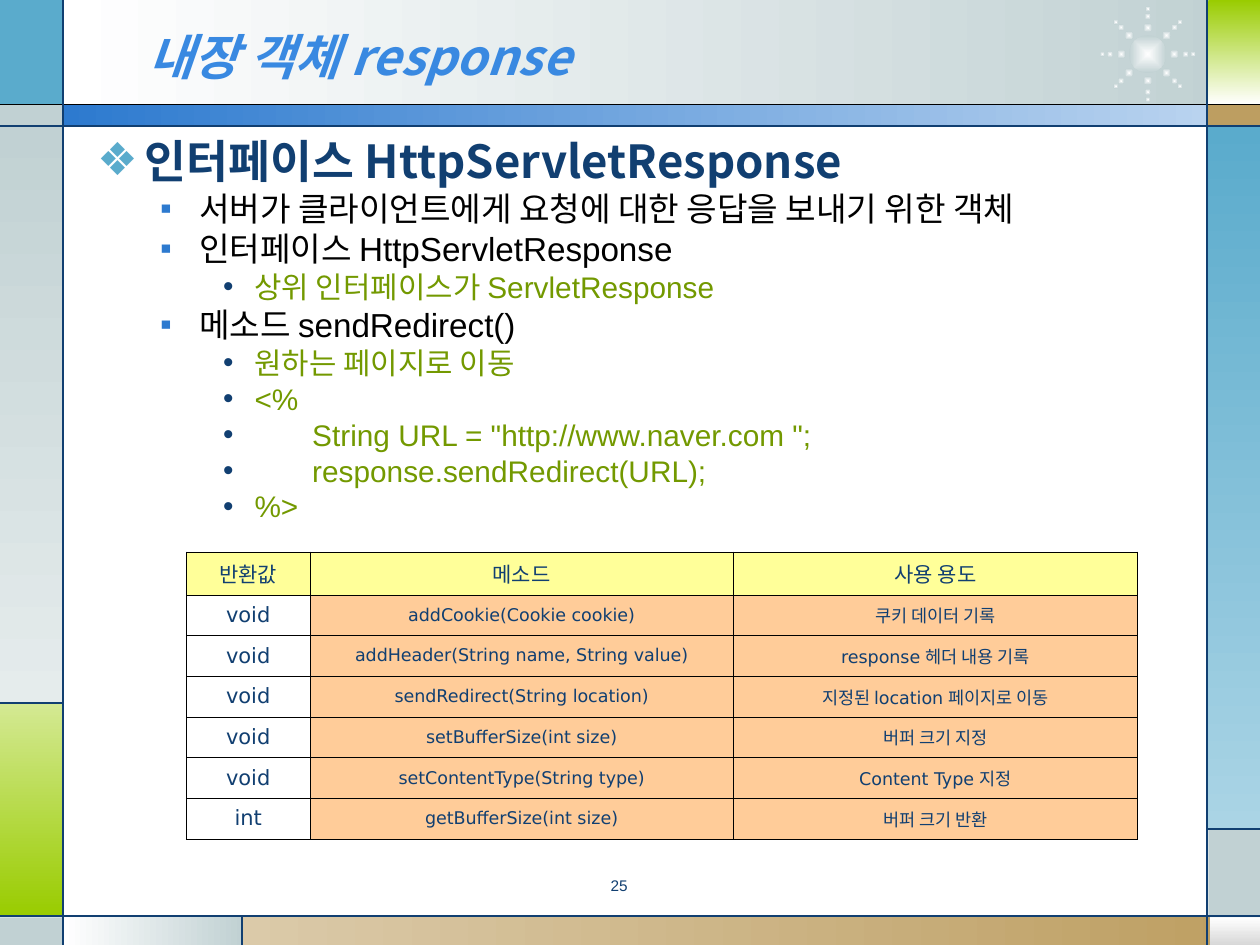
import math
import pptx
import pptx.util
import pptx.dml.color
import pptx.enum.shapes
import pptx.enum.text
import pptx.oxml
import pptx.oxml.ns
from pptx.util import Inches, Pt

TITLE = "내장 객체 response"
BODY = [  # level, text
    (0, "인터페이스 HttpServletResponse"),
    (1, "서버가 클라이언트에게 요청에 대한 응답을 보내기 위한 객체"),
    (1, "인터페이스 HttpServletResponse"),
    (2, "상위 인터페이스가 ServletResponse"),
    (1, "메소드 sendRedirect()"),
    (2, "원하는 페이지로 이동"),
    (2, "<%"),
    (2, '       String URL = "http://www.naver.com ";'),
    (2, "       response.sendRedirect(URL);"),
    (2, "%>"),
]
LEVELS = [  # bullet, its colour, left, hang, space before, size, font, colour
    ("❖", "5AABCC", 0.38, 0.38, 6.5, 26, "Noto Sans CJK KR", "113F71"),
    ("▪", "2D7ACF", 0.81, 0.31, 4.8, 19, "Arial", "000000"),
    ("•", "113F71", 1.25, 0.25, 4.2, 17, "Arial", "739900"),
]
ROWS = [
    ("반환값", "메소드", "사용 용도"),
    ("void", "addCookie(Cookie cookie)", "쿠키 데이터 기록"),
    ("void", "addHeader(String name, String value)", "response 헤더 내용 기록"),
    ("void", "sendRedirect(String location)", "지정된 location 페이지로 이동"),
    ("void", "setBufferSize(int size)", "버퍼 크기 지정"),
    ("void", "setContentType(String type)", "Content Type 지정"),
    ("int", "getBufferSize(int size)", "버퍼 크기 반환"),
]
COLS = (0.98, 3.36, 3.21)
RIGHT, DOWN = 0, 270
BANDS = [  # left, top, width, height, colours, direction
    (0.5, 0, 9.27, 0.84, ("FFFFFF", "C1D1D3"), RIGHT),
    (0, 0, 0.5, 0.84, ("5AABCC",), None),
    (0, 0.83, 0.5, 0.17, ("C1D1D3",), None),
    (0, 1, 0.5, 4.58, ("C1D1D3", "E5ECEC"), DOWN),
    (0, 5.58, 0.5, 1.69, ("D4E993", "99CC00"), DOWN),
    (0, 7.28, 0.5, 0.22, ("C1D1D3",), None),
    (0.5, 7.27, 1.43, 0.23, ("FFFFFF", "C1D1D3"), RIGHT),
    (1.92, 7.27, 8.08, 0.23, ("DBCAA9", "BD9E61"), RIGHT),
    (9.6, 7.28, 0.4, 0.22, ("FFFFFF", "D8D8D8"), DOWN),
    (9.59, 6.58, 0.41, 0.7, ("C1D1D3",), None),
    (9.58, 1, 0.42, 5.58, ("5AABCC", "AAD4E5"), DOWN),
    (9.58, 0.83, 0.42, 0.17, ("BD9E61",), None),
    (9.59, 0, 0.41, 0.83, ("99CC00", "FFFFFF"), DOWN),
    (0.5, 0.83, 9.09, 0.17, ("2D7ACF", "B9D3EF"), RIGHT),
]
LINES = [  # from, to, colour
    (0, 0.83, 10, 0.83, "000000"),
    (0, 1, 10, 1, "113F71"),
    (0, 7.27, 10, 7.27, "113F71"),
    (0.5, 0, 0.5, 7.5, "113F71"),
    (9.58, 0, 9.58, 7.5, "113F71"),
    (0, 5.58, 0.5, 5.58, "113F71"),
    (1.92, 7.27, 1.92, 7.5, "113F71"),
    (9.58, 6.58, 10, 6.58, "113F71"),
]
SUN = (9.11, 0.43)
DOTS = [(0.21, 0.07), (0.3, 0.05), (0.36, 0.04)]  # distance, size

KIND = pptx.enum.shapes.MSO_SHAPE
ALIGN = pptx.enum.text.PP_ALIGN
MIDDLE = pptx.enum.text.MSO_ANCHOR.MIDDLE


def rgb(code):
    return pptx.dml.color.RGBColor.from_string(code)


def node(xml):
    """Parse one element whose root uses the a: prefix."""
    head, rest = xml.split(">", 1) if "/>" not in xml.split(">")[0] + ">" else (xml[:-2], None)
    space = " " + pptx.oxml.ns.nsdecls("a")
    return pptx.oxml.parse_xml(head + space + ("/>" if rest is None else ">" + rest))


def paint(shape, tints, turn=None):
    shape.shadow.inherit = False
    shape.line.fill.background()
    if len(tints) == 1:
        shape.fill.solid()
        shape.fill.fore_color.rgb = rgb(tints[0])
        return
    shape.fill.gradient()
    for stop, tint, place in zip(shape.fill.gradient_stops, tints, (0, 1)):
        stop.color.rgb = rgb(tint)
        stop.position = place
    shape.fill.gradient_angle = turn


def write(para, text, size, face, tint, bold=False, slant=False):
    run = para.add_run()
    run.text = text
    font = run.font
    font.size, font.name, font.bold, font.italic = Pt(size), face, bold, slant
    font.color.rgb = rgb(tint)
    latin = run._r.rPr.find(pptx.oxml.ns.qn("a:latin"))
    latin.addnext(node('<a:ea typeface="Noto Sans CJK KR"/>'))


def place(shape, left, top, width, height):
    shape.left, shape.top = Inches(left), Inches(top)
    shape.width, shape.height = Inches(width), Inches(height)
    frame = shape.text_frame
    frame.word_wrap = True
    frame.auto_size = pptx.enum.text.MSO_AUTO_SIZE.NONE
    return frame


def glow(group, x, y, size):
    """Add a dot centred on x, y that is white in the middle."""
    dot = group.shapes.add_shape(KIND.OVAL, Inches(x - size / 2), Inches(y - size / 2),
                                 Inches(size), Inches(size))
    paint(dot, ("FFFFFF", "C1D1D3"), RIGHT)
    lin = dot.element.spPr.find(".//" + pptx.oxml.ns.qn("a:lin"))
    lin.getparent().replace(lin, node(
        '<a:path path="rect"><a:fillToRect l="50000" t="50000" r="50000" b="50000"/></a:path>'))


def frame_page(slide):
    for *box, tints, turn in BANDS:
        paint(slide.shapes.add_shape(KIND.RECTANGLE, *map(Inches, box)), tints, turn)
    group = slide.shapes.add_group_shape()
    glow(group, *SUN, 0.3)
    for ray in range(8):
        turn = math.radians(45 * ray)
        for far, size in DOTS:
            glow(group, SUN[0] + far * math.cos(turn), SUN[1] + far * math.sin(turn), size)
    for *ends, tint in LINES:
        line = slide.shapes.add_connector(pptx.enum.shapes.MSO_CONNECTOR.STRAIGHT,
                                          *map(Inches, ends))
        line.line.color.rgb = rgb(tint)
        line.line.width = Pt(0.75)
        line.element.spPr.append(node("<a:effectLst/>"))


def fill_body(frame):
    frame.vertical_anchor = pptx.enum.text.MSO_ANCHOR.TOP
    for i, (level, text) in enumerate(BODY):
        mark, dye, left, hang, gap, size, face, tint = LEVELS[level]
        para = frame.add_paragraph() if i else frame.paragraphs[0]
        props = para._p.get_or_add_pPr()
        props.set("marL", str(Inches(left)))
        props.set("indent", str(-Inches(hang)))
        props.append(node(f'<a:buClr><a:srgbClr val="{dye}"/></a:buClr>'))
        props.append(node('<a:buFont typeface="Arial"/>'))
        props.append(node(f'<a:buChar char="{mark}"/>'))
        para.level = level
        para.line_spacing = 0.8
        para.space_before = Pt(gap if i else 0)
        write(para, text, size, face, tint, bold=level == 0)


def add_grid(slide):
    grid = slide.shapes.add_table(len(ROWS), len(COLS), Inches(1.48), Inches(4.38),
                                  Inches(sum(COLS)), Inches(2.26)).table
    grid.first_row = grid.horz_banding = False
    for col, width in zip(grid.columns, COLS):
        col.width = Inches(width)
    for r, row in enumerate(ROWS):
        for c, text in enumerate(row):
            cell = grid.cell(r, c)
            cell.vertical_anchor = MIDDLE
            cell.margin_left = cell.margin_right = Inches(0.07)
            for side in "LRTB":
                cell._tc.get_or_add_tcPr().append(node(
                    f'<a:ln{side} w="{Pt(0.45)}"><a:solidFill><a:srgbClr val="000000"/>'
                    f'</a:solidFill></a:ln{side}>'))
            if r and not c:
                cell.fill.background()
            else:
                cell.fill.solid()
                cell.fill.fore_color.rgb = rgb("FFCC99" if r else "FFFF99")
            para = cell.text_frame.paragraphs[0]
            para.alignment = ALIGN.CENTER
            write(para, text, 10 if r and c else 12, "DejaVu Sans", "113F71")


def main():
    deck = pptx.Presentation()
    deck.slide_width, deck.slide_height = Inches(10), Inches(7.5)
    slide = deck.slides.add_slide(deck.slide_layouts[1])
    title, body = slide.placeholders
    frame_page(slide)
    for holder in (title, body):  # bring the text in front of the bands
        holder.element.getparent().append(holder.element)

    frame = place(title, 1.08, 0.13, 7.33, 0.62)
    frame.vertical_anchor = MIDDLE
    frame.paragraphs[0].alignment = ALIGN.LEFT
    write(frame.paragraphs[0], TITLE, 28, "Noto Sans CJK KR", "3989E1", True, True)
    fill_body(place(body, 0.67, 1.09, 8.77, 3.28))

    page = place(slide.shapes.add_textbox(0, 0, 0, 0), 3.75, 6.93, 2.33, 0.27).paragraphs[0]
    page.alignment = ALIGN.CENTER
    page.line_spacing = 0.8
    write(page, "25", 8.8, "Arial", "113F71")
    add_grid(slide)
    deck.save("out.pptx")


if __name__ == "__main__":
    main()
